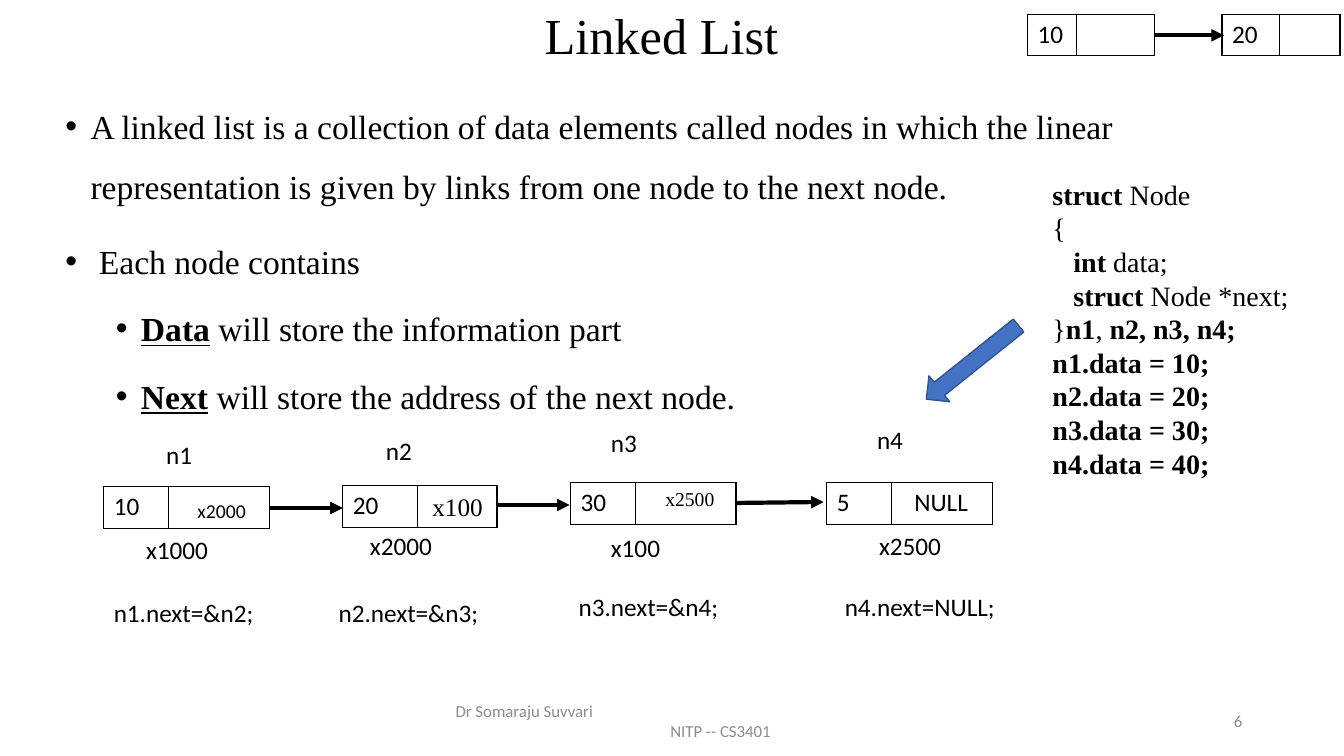
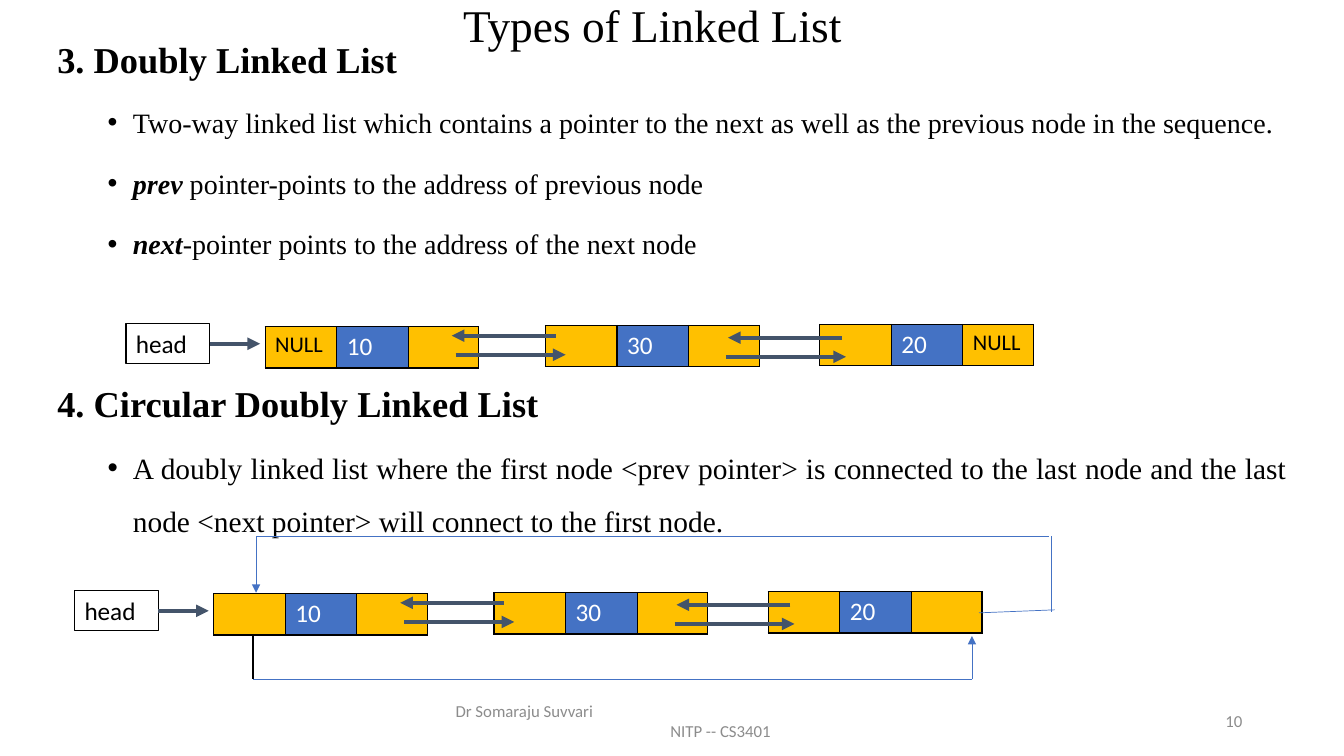
from dataclasses import dataclass

from lxml.etree import SubElement
from pptx import Presentation
from pptx.dml.color import RGBColor
from pptx.enum.shapes import MSO_CONNECTOR, MSO_SHAPE
from pptx.enum.text import MSO_ANCHOR, PP_ALIGN
from pptx.oxml.ns import qn
from pptx.util import Inches, Pt

BLACK = RGBColor(0x00, 0x00, 0x00)
WHITE = RGBColor(0xFF, 0xFF, 0xFF)
GRAY = RGBColor(0x8C, 0x8C, 0x8C)
BLUE = RGBColor(0x44, 0x72, 0xC4)
DARK_BLUE = RGBColor(0x32, 0x54, 0x91)
SLATE = RGBColor(0x44, 0x54, 0x6A)
GOLD = RGBColor(0xFF, 0xC0, 0x00)
SERIF, SANS = "Times New Roman", "Calibri"


@dataclass(frozen=True)
class Span:
    text: str
    style: str = ""  # any of b, i, u


@dataclass(frozen=True)
class Para:
    spans: tuple[Span, ...]
    size: float
    spacing: float = 1.0
    before: float = 0
    margin: float = 0
    bullet: bool = False
    align: PP_ALIGN = PP_ALIGN.LEFT
    font: str = SERIF
    color: RGBColor = BLACK


@dataclass(frozen=True)
class Label:
    text: str
    x: float
    y: float
    width: float
    size: float = 18
    font: str = SANS


@dataclass(frozen=True)
class Cell:
    text: str = ""
    fill: RGBColor | None = None
    color: RGBColor = BLACK
    size: float = 18


@dataclass(frozen=True)
class Node:
    x: float
    y: float
    widths: tuple[float, ...]
    cells: tuple[Cell, ...]


@dataclass(frozen=True)
class Line:
    x1: float
    y1: float
    x2: float
    y2: float
    color: RGBColor = BLACK
    weight: float = 3
    arrow: bool = True


# Shared drawing helpers
def fill_frame(frame, paras: list[Para], anchor=MSO_ANCHOR.TOP) -> None:
    frame.word_wrap = True
    frame.vertical_anchor = anchor
    for index, para in enumerate(paras):
        paragraph = frame.paragraphs[0] if index == 0 else frame.add_paragraph()
        paragraph.alignment = para.align
        paragraph.line_spacing = para.spacing
        paragraph.space_before = Pt(para.before if index else 0)
        props = paragraph._p.get_or_add_pPr()
        props.set("marL", str(Inches(para.margin)))
        if para.bullet:
            props.set("indent", str(Inches(-0.25)))
            SubElement(props, qn("a:buFont")).set("typeface", "Arial")
            SubElement(props, qn("a:buChar")).set("char", "•")
        for span in para.spans:
            run = paragraph.add_run()
            run.text = span.text
            run.font.name = para.font
            run.font.size = Pt(para.size)
            run.font.color.rgb = para.color
            run.font.bold = "b" in span.style
            run.font.italic = "i" in span.style
            run.font.underline = "u" in span.style


def add_text(slide, x: float, y: float, width: float, height: float,
             paras: list[Para], anchor=MSO_ANCHOR.TOP) -> None:
    box = slide.shapes.add_textbox(Inches(x), Inches(y), Inches(width), Inches(height))
    fill_frame(box.text_frame, paras, anchor)


def add_label(slide, label: Label) -> None:
    para = Para((Span(label.text),), label.size, font=label.font)
    add_text(slide, label.x, label.y, label.width, 0.4, [para])


def add_node(slide, node: Node) -> None:
    table = slide.shapes.add_table(
        1, len(node.cells), Inches(node.x), Inches(node.y),
        Inches(sum(node.widths)), Inches(0.41)).table
    table.first_row = table.horz_banding = False
    for index, (width, content) in enumerate(zip(node.widths, node.cells)):
        table.columns[index].width = Inches(width)
        cell = table.cell(0, index)
        props = cell._tc.get_or_add_tcPr()
        for side in ("lnL", "lnR", "lnT", "lnB"):
            border = SubElement(props, qn(f"a:{side}"), w=str(Pt(1)))
            paint = SubElement(border, qn("a:solidFill"))
            SubElement(paint, qn("a:srgbClr"), val=str(BLACK))
        if content.fill is None:
            cell.fill.background()
        else:
            cell.fill.solid()
            cell.fill.fore_color.rgb = content.fill
        if content.text:
            cell.text_frame.text = content.text
            font = cell.text_frame.paragraphs[0].runs[0].font
            font.name, font.size = SANS, Pt(content.size)
            font.color.rgb = content.color


def add_line(slide, line: Line):
    connector = slide.shapes.add_connector(
        MSO_CONNECTOR.STRAIGHT, Inches(line.x1), Inches(line.y1),
        Inches(line.x2), Inches(line.y2))
    connector.line.color.rgb = line.color
    connector.line.width = Pt(line.weight)
    if line.arrow:
        SubElement(connector.line._get_or_add_ln(), qn("a:tailEnd"), type="triangle")
    SubElement(connector._element.spPr, qn("a:effectLst"))
    return connector


def new_slide(deck, title: str, title_box: tuple[float, ...], size: float, number: int):
    slide = deck.slides.add_slide(deck.slide_layouts[6])
    add_text(slide, *title_box,
             [Para((Span(title),), size, 0.9, align=PP_ALIGN.CENTER)], MSO_ANCHOR.MIDDLE)
    # Footer and slide number
    small = {"size": 12, "font": SANS, "color": GRAY}
    add_text(slide, 4.42, 6.95, 4.5, 0.4,
             [Para((Span("Dr Somaraju Suvvari"),), **small),
              Para((Span("NITP -- CS3401"),), margin=2.13, **small)], MSO_ANCHOR.MIDDLE)
    add_text(slide, 9.42, 6.95, 3, 0.4,
             [Para((Span(str(number)),), align=PP_ALIGN.RIGHT, **small)], MSO_ANCHOR.MIDDLE)
    return slide


# Slide 1: linked list
def build_linked_list(deck) -> None:
    slide = new_slide(deck, "Linked List", (1.35, 0.16, 10.42, 0.44), 36, 6)
    main = {"size": 24, "spacing": 1.5, "before": 10, "margin": 0.25, "bullet": True}
    sub = main | {"before": 5, "margin": 0.75}
    add_text(slide, 0.55, 0.8, 11.5, 3.33, [
        Para((Span("A linked list is a collection of data elements called nodes in which "
                   "the linear representation is given by links from one node to the "
                   "next node."),), **main),
        Para((Span(" Each node contains"),), **main),
        Para((Span("Data", "bu"), Span(" will store the information part")), **sub),
        Para((Span("Next", "bu"), Span(" will store the address of the next node.")), **sub),
    ])

    # Struct definition
    code = [
        (Span("struct", "b"), Span(" Node")),
        (Span("{"),),
        (Span("   int", "b"), Span(" data;")),
        (Span("   struct", "b"), Span(" Node *next;")),
        (Span("}"), Span("n1", "b"), Span(", "), Span("n2, n3, n4;", "b")),
    ]
    code += [(Span(f"n{i}.data = {i}0;", "b"),) for i in range(1, 5)]
    add_text(slide, 10.34, 1.71, 2.66, 3.13, [Para(spans, 20) for spans in code])

    # Nodes of the chain, and the small pair at the top right
    for x, y, widths, value in (
        (1.03, 4.83, (0.64, 1), "10"), (3.4, 4.82, (0.74, 0.79), "20"),
        (5.66, 4.79, (0.64, 1), "30"), (8.2, 4.79, (0.64, 1), "5"),
        (10.19, 0.14, (0.49, 0.77), "10"), (12.12, 0.14, (0.57, 0.6), "20"),
    ):
        add_node(slide, Node(x, y, widths, (Cell(value), Cell())))
    for link in (Line(2.67, 5.04, 3.4, 5.04), Line(4.94, 5.01, 5.65, 5.01),
                 Line(7.29, 4.99, 8.17, 4.98), Line(11.45, 0.35, 12.14, 0.35)):
        add_line(slide, link)

    # Names, stored links, addresses and statements
    for label in (
        Label("n1", 1.55, 4.31, 0.61), Label("n2", 3.73, 4.27, 0.61),
        Label("n3", 5.96, 4.19, 0.61), Label("n4", 8.6, 4.16, 0.61),
        Label("x2000", 1.86, 4.9, 0.71, 14), Label("x100", 4.19, 4.83, 0.76, 18, SERIF),
        Label("x2500", 6.5, 4.78, 0.76, 14, SERIF), Label("NULL", 8.97, 4.78, 0.86),
        Label("x1000", 1.35, 5.25, 1.22), Label("x2000", 3.57, 5.21, 1.22),
        Label("x100", 5.96, 5.23, 1.22), Label("x2500", 8.62, 5.21, 1.22),
        Label("n1.next=&n2;", 1.03, 5.88, 1.85), Label("n2.next=&n3;", 3.26, 5.88, 1.85),
        Label("n3.next=&n4;", 5.64, 5.82, 1.85), Label("n4.next=NULL;", 8.28, 5.82, 1.85),
    ):
        add_label(slide, label)

    # Arrow from the code to the chain
    pointer = slide.shapes.add_shape(
        MSO_SHAPE.LEFT_ARROW, Inches(9.06), Inches(3.43), Inches(1.17), Inches(0.33))
    pointer.rotation = 321.4
    pointer.shadow.inherit = False
    pointer.fill.solid()
    pointer.fill.fore_color.rgb = BLUE
    pointer.line.color.rgb = DARK_BLUE
    pointer.line.width = Pt(1)


# Slide 2: doubly linked lists
def add_doubly_chain(slide, dx: float, dy: float, end: str) -> None:
    gold, null = Cell(fill=GOLD), Cell(end, GOLD, BLACK, 16)
    for x, y, value, prev_cell, next_cell in (
        (2.63, 3.24, "10", null, gold),
        (5.41, 3.23, "30", gold, gold),
        (8.13, 3.22, "20", gold, null),
    ):
        add_node(slide, Node(x + dx, y + dy, (0.71, 0.71, 0.7),
                             (prev_cell, Cell(value, BLUE, WHITE), next_cell)))

    head = slide.shapes.add_shape(
        MSO_SHAPE.RECTANGLE, Inches(1.25 + dx), Inches(3.21 + dy), Inches(0.83), Inches(0.4))
    head.shadow.inherit = False
    head.fill.background()
    head.line.color.rgb = BLACK
    head.line.width = Pt(0.75)
    fill_frame(head.text_frame, [Para((Span("head"),), 18, font=SANS)])
    entry = add_line(slide, Line(2.08 + dx, 3.41 + dy, 2.58 + dx, 3.41 + dy, SLATE))
    entry.begin_connect(head, 3)

    for x1, x2, y in ((4.52, 5.61, 3.52), (5.51, 4.48, 3.33),
                      (7.2, 8.39, 3.54), (8.35, 7.22, 3.35)):
        add_line(slide, Line(x1 + dx, y + dy, x2 + dx, y + dy, SLATE))


def build_types(deck) -> None:
    slide = new_slide(deck, "Types of Linked List", (1.56, 0.07, 9.82, 0.42), 32.4, 10)
    item = {"before": 5, "margin": 0.75, "bullet": True, "align": PP_ALIGN.JUSTIFY}
    add_text(slide, 0.47, 0.37, 12.4, 2.4, [
        Para((Span("3. Doubly Linked List", "b"),), 26, 0.9),
        Para((Span("Two-way linked list which contains a pointer to the next as well as "
                   "the previous node in the sequence."),), 20, 1.5, **item),
        Para((Span("prev", "bi"), Span(" pointer-points to the address of previous node")),
             20, 1.6, **item),
        Para((Span("next", "bi"), Span("-pointer points to the address of the next node")),
             20, 1.6, **item),
    ])
    add_text(slide, 0.47, 3.78, 12.4, 1.7, [
        Para((Span("4. Circular Doubly Linked List", "b"),), 26, 0.9),
        Para((Span("A doubly linked list where the first node <prev pointer> is connected "
                   "to the last node and the last node <next pointer> will connect to the "
                   "first node."),), 21, 1.5, **item),
    ])
    add_doubly_chain(slide, 0, 0, "NULL")
    add_doubly_chain(slide, -0.51, 2.65, "")

    # Links that close the circle
    for link in (
        Line(9.71, 6.08, 10.46, 6.05, BLUE, 0.5, False),
        Line(10.43, 6.07, 10.43, 5.32, BLUE, 0.5, False),
        Line(10.4, 5.32, 2.54, 5.32, BLUE, 0.5, False),
        Line(2.54, 5.32, 2.54, 5.88, BLUE, 0.5),
        Line(2.51, 6.31, 2.51, 6.74, BLACK, 1, False),
        Line(2.51, 6.74, 9.64, 6.74, BLUE, 0.5, False),
        Line(9.64, 6.74, 9.64, 6.31, BLUE, 0.5),
    ):
        add_line(slide, link)


def main() -> None:
    deck = Presentation()
    deck.slide_width, deck.slide_height = Inches(13.33), Inches(7.5)
    build_linked_list(deck)
    build_types(deck)
    deck.save("out.pptx")


if __name__ == "__main__":
    main()
